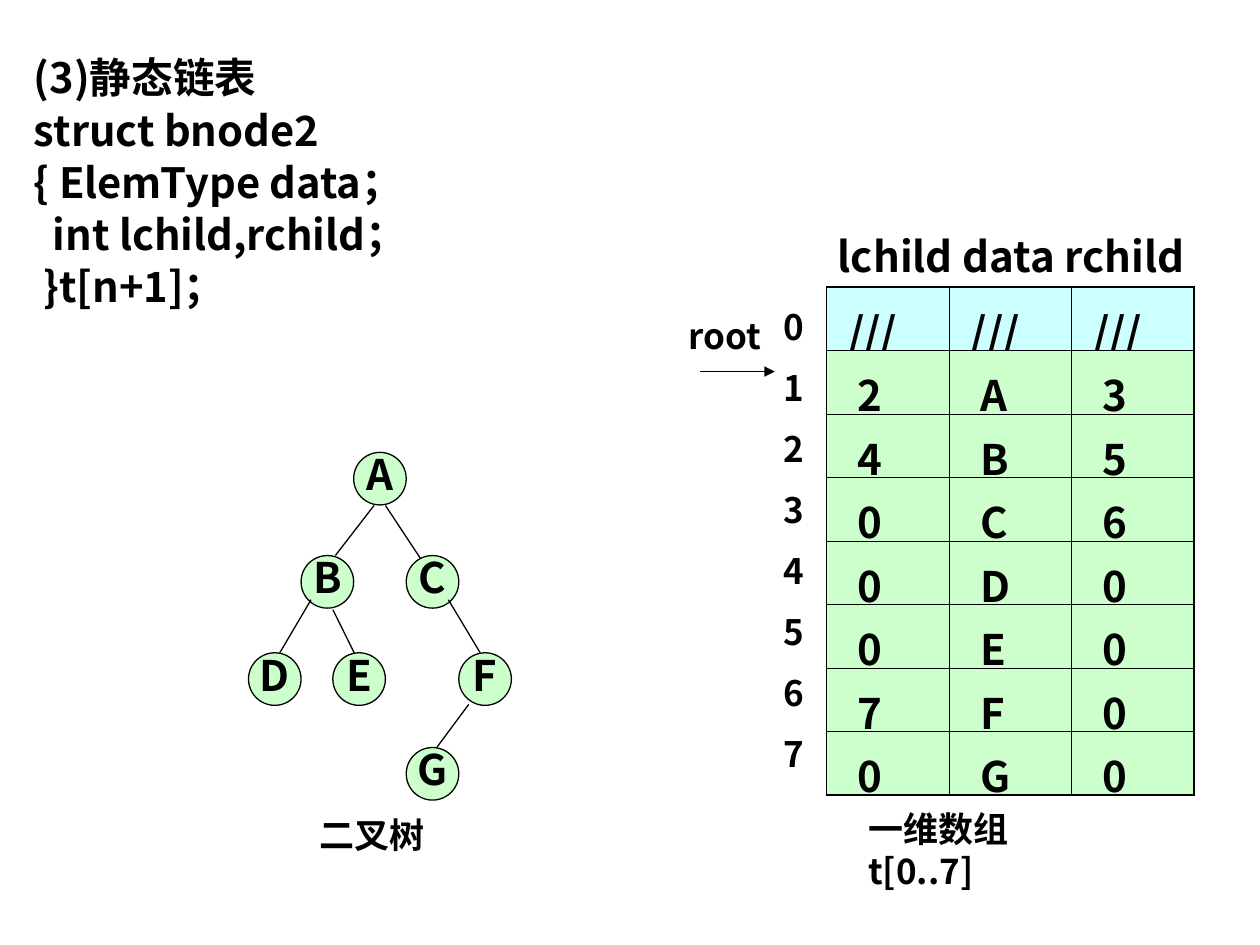
from lxml import etree
from pptx import Presentation
from pptx import util as u
from pptx.dml.color import RGBColor
from pptx.enum import shapes, text
from pptx.oxml import ns

BLACK = RGBColor(0x00, 0x00, 0x00)
GREEN = RGBColor(0xCC, 0xFF, 0xCC)
CYAN = RGBColor(0xCC, 0xFF, 0xFF)
FONT = "Noto Sans CJK SC"
LINE = 0.75
INNER, OUTER = 0.45, 1.08

DECLARATION = ["(3)静态链表", "struct bnode2", "{ ElemType data；",
               "  int lchild,rchild；", " }t[n+1]；"]
ARRAY = ["/// /// ///", "2 A 3", "4 B 5", "0 C 6",
         "0 D 0", "0 E 0", "7 F 0", "0 G 0"]

# Node centres, in cm
NODES = {"C": (8.72, 11.73), "A": (7.66, 9.65), "F": (9.78, 13.69),
         "B": (6.6, 11.73), "D": (5.54, 13.69), "E": (7.24, 13.69),
         "G": (8.72, 15.6)}
# Edges as x1, y1, x2, y2, in cm
EDGES_BEHIND = [(7.54, 10.19, 6.76, 11.2), (7.77, 10.19, 8.61, 11.46)]
EDGES_IN_FRONT = [(6.27, 12.09, 5.64, 13.16), (6.71, 12.29, 7.14, 13.16),
                  (9.04, 12.09, 9.68, 13.16), (9.45, 14.2, 8.81, 15.06)]


def add_xml(parent, tag, **attributes):
    return etree.SubElement(parent, ns.qn(tag), attributes)


def write(frame, lines, size=20, align=None, spacing=None, before=0, hanging=0):
    """Fill a text frame with one paragraph per line."""
    for index, line in enumerate(lines):
        para = frame.paragraphs[0] if index == 0 else frame.add_paragraph()
        if hanging:
            props = para._p.get_or_add_pPr()
            props.set("marL", str(u.Cm(hanging)))
            props.set("indent", str(-u.Cm(hanging)))
            add_xml(props, "a:buNone")
        para.alignment = align
        para.line_spacing = spacing
        para.space_before = u.Pt(before if index else 0)
        span = para.add_run()
        span.text = line
        span.font.size = u.Pt(size)
        span.font.bold = True
        span.font.color.rgb = BLACK
        span.font.name = FONT
        add_xml(span._r.get_or_add_rPr(), "a:ea", typeface=FONT)


def set_borders(cell, widths):
    """Draw the left, right, top and bottom border of a cell."""
    props = cell._tc.get_or_add_tcPr()
    for side, width in zip("LRTB", widths):
        border = add_xml(props, "a:ln" + side, w=str(u.Pt(width)))
        add_xml(add_xml(border, "a:solidFill"), "a:srgbClr", val=str(BLACK))


class Board:
    node_size = 1.06

    def __init__(self, slide):
        self.slide = slide

    def body(self, lines, left, top, width, height):
        box = self.slide.placeholders[1]
        box.left, box.top = u.Cm(left), u.Cm(top)
        box.width, box.height = u.Cm(width), u.Cm(height)
        write(box.text_frame, lines, size=23.8, spacing=0.8, before=7,
              hanging=0.97)

    def label(self, lines, left, top, width, height, **style):
        box = self.slide.shapes.add_textbox(
            u.Cm(left), u.Cm(top), u.Cm(width), u.Cm(height))
        box.text_frame.word_wrap = False
        write(box.text_frame, lines, **style)

    def node(self, name, x, y):
        radius = self.node_size / 2
        circle = self.slide.shapes.add_shape(
            shapes.MSO_SHAPE.OVAL, u.Cm(x - radius), u.Cm(y - radius),
            u.Cm(self.node_size), u.Cm(self.node_size))
        circle.shadow.inherit = False
        circle.fill.solid()
        circle.fill.fore_color.rgb = GREEN
        circle.line.color.rgb = BLACK
        circle.line.width = u.Pt(LINE)
        frame = circle.text_frame
        frame.word_wrap = False
        frame.vertical_anchor = text.MSO_ANCHOR.MIDDLE
        write(frame, [name], size=24, align=text.PP_ALIGN.CENTER, spacing=0.8)

    def line(self, x1, y1, x2, y2, arrow=False):
        connector = self.slide.shapes.add_connector(
            shapes.MSO_CONNECTOR.STRAIGHT,
            u.Cm(x1), u.Cm(y1), u.Cm(x2), u.Cm(y2))
        connector.line.color.rgb = BLACK
        connector.line.width = u.Pt(LINE)
        if arrow:
            add_xml(connector.line._get_or_add_ln(), "a:tailEnd",
                    type="triangle")
        add_xml(connector._element.spPr, "a:effectLst")

    def table(self, rows, left, top, column_width, row_height):
        last_row, last_column = len(rows) - 1, len(rows[0]) - 1
        table = self.slide.shapes.add_table(
            len(rows), len(rows[0]), u.Cm(left), u.Cm(top),
            u.Cm(column_width * len(rows[0])),
            u.Cm(row_height * len(rows))).table
        table.first_row = table.horz_banding = False
        for r, values in enumerate(rows):
            table.rows[r].height = u.Cm(row_height)
            for c, value in enumerate(values):
                cell = table.cell(r, c)
                cell.margin_left = u.Cm(0.63 if r else 0.44)
                cell.margin_top, cell.margin_bottom = u.Cm(0.25), 0
                edges = (c == 0, c == last_column, r == 0, r == last_row)
                set_borders(cell, [OUTER if e else INNER for e in edges])
                cell.fill.solid()
                cell.fill.fore_color.rgb = GREEN if r else CYAN
                write(cell.text_frame, [value], size=24)


def main():
    deck = Presentation()
    deck.slide_width, deck.slide_height = u.Cm(25.4), u.Cm(19.05)
    slide = deck.slides.add_slide(deck.slide_layouts[1])
    title = slide.shapes.title._element
    title.getparent().remove(title)
    board = Board(slide)

    board.body(DECLARATION, 0.43, 1.12, 13.87, 6.15)
    board.label(["二叉树"], 6.2, 16.28, 2.62, 1.12)

    board.table([row.split() for row in ARRAY], 16.66, 5.79, 2.47, 1.28)
    board.label([str(index) for index in range(len(ARRAY))],
                15.54, 5.66, 0.91, 10.08, spacing=1.45)
    board.label(["lchild data rchild"], 16.64, 4.52, 7.59, 1.27, size=24)
    board.label(["一维数组", "t[0..7]"], 17.25, 16.15, 3.35, 1.96)
    board.label(["root"], 13.64, 6.22, 2.01, 1.12)

    for edge in EDGES_BEHIND:
        board.line(*edge)
    for name, centre in NODES.items():
        board.node(name, *centre)
    for edge in EDGES_IN_FRONT:
        board.line(*edge)
    board.line(14.12, 7.49, 15.62, 7.49, arrow=True)
    deck.save("out.pptx")


if __name__ == "__main__":
    main()
